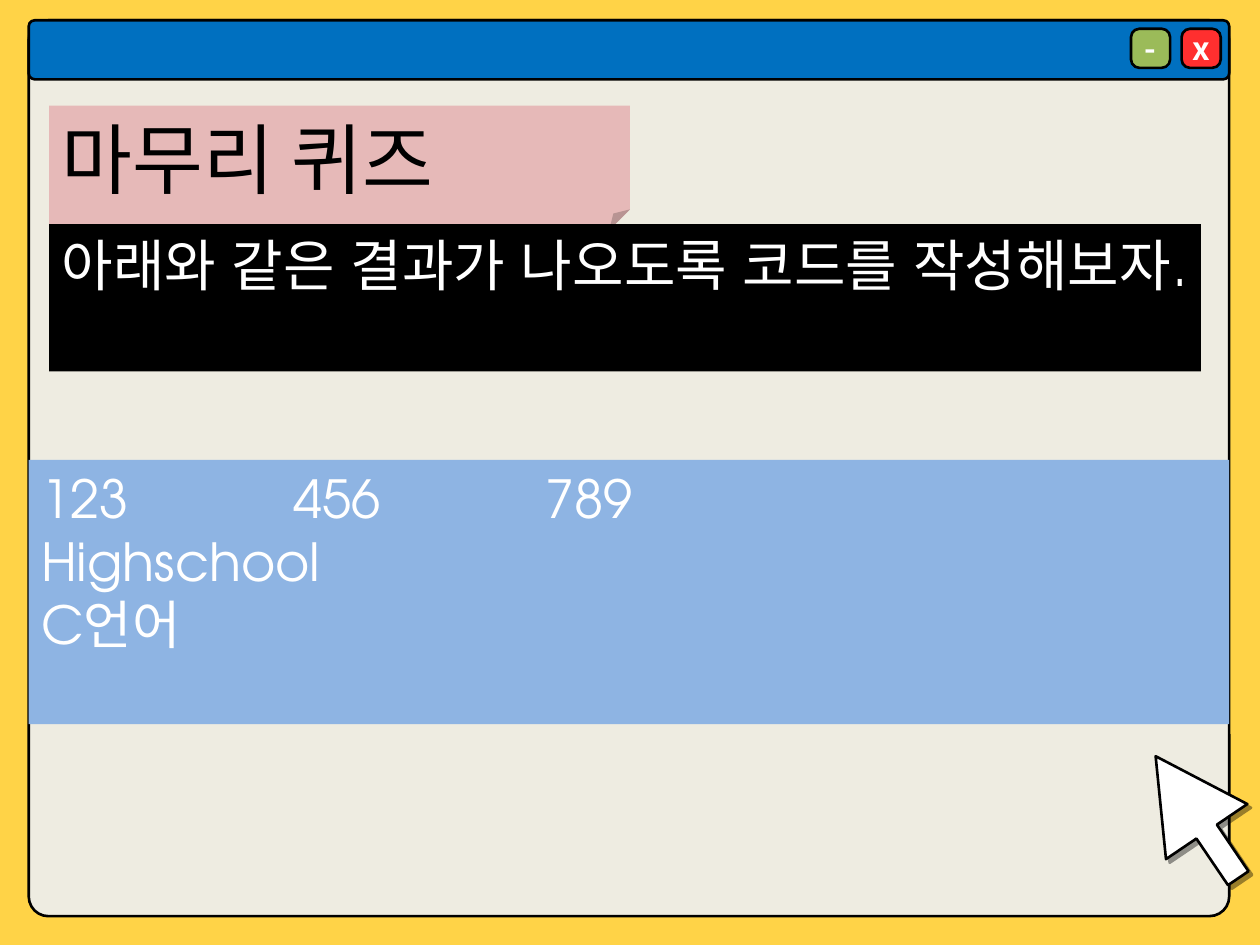
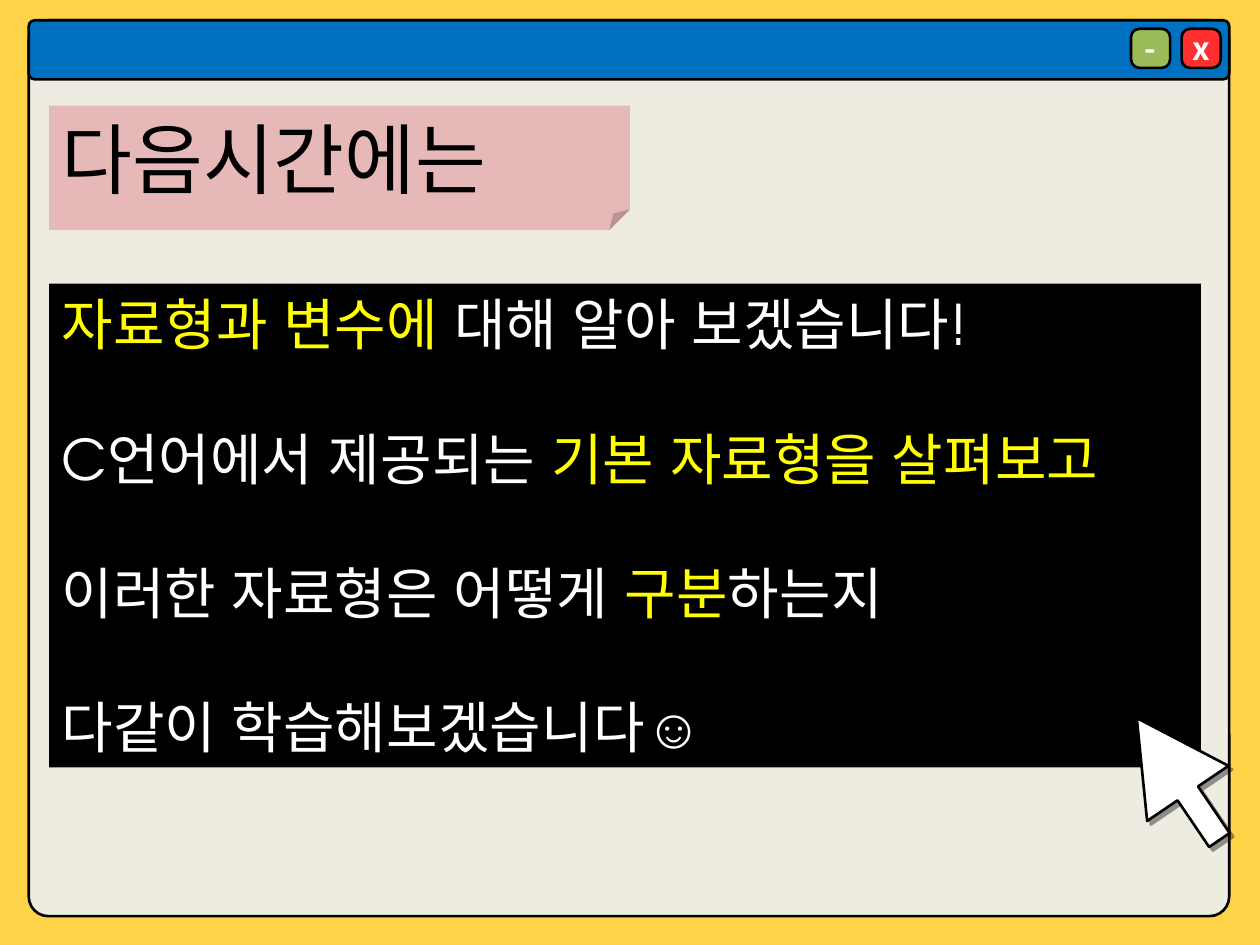
"""Build two lesson slides styled as a desktop window."""
from lxml import etree
from pptx import Presentation
from pptx.dml.color import RGBColor
from pptx.enum.shapes import MSO_SHAPE as Shape
from pptx.enum.text import MSO_ANCHOR as Anchor, PP_ALIGN as Align
from pptx.oxml.ns import qn
from pptx.util import Cm, Pt

COLORS = {
    "desktop": "FFD347", "window": "EEECE1", "bar": "0070C0",
    "close": "FF2F2F", "minimize": "9BBB59", "note": "E6B9B8",
    "output": "8EB4E3", "black": "000000", "white": "FFFFFF",
    "highlight": "FFFF00",
}
TITLE_FONT = "Noto Sans CJK KR"
BODY_FONT = "TeX Gyre Adventor"
SYMBOL_FONT = "Arial"

WINDOW = (0.58, 0.41, 24.2, 18.06)
TITLE = (0.99, 2.13, 11.71, 2.51)
TASK = (0.99, 4.52, 23.22, 2.97)
OUTPUT = (0.58, 9.27, 24.2, 5.33)
PREVIEW = (0.99, 5.72, 23.22, 9.75)
BAR_HEIGHT = 1.19
BUTTON_SIZE = 0.79
BUTTON_STEP = 1.02
BUTTON_MARGIN = 0.17
CURSOR_SIZE = (1.98, 2.97)


def rgb(name):
    """Return the palette colour with this name."""
    return RGBColor.from_string(COLORS[name])


def add_panel(slide, kind, box, fill, adjust=None, outlined=False):
    """Add a flat preset shape in a box given in centimetres."""
    panel = slide.shapes.add_shape(kind, *map(Cm, box))
    panel.shadow.inherit = False
    panel.fill.solid()
    panel.fill.fore_color.rgb = rgb(fill)
    if outlined:
        panel.line.color.rgb = rgb("black")
        panel.line.width = Pt(1.5)
    else:
        panel.line.fill.background()
    if adjust:
        geometry = panel._element.spPr.find(qn("a:prstGeom"))
        for guides in geometry.findall(qn("a:avLst")):
            geometry.remove(guides)
        guides = etree.SubElement(geometry, qn("a:avLst"))
        for name, value in adjust.items():
            etree.SubElement(guides, qn("a:gd"), name=name, fmla=f"val {value}")
    return panel


def style_run(run, size, color, font=BODY_FONT, bold=False):
    """Format a run, with one typeface for Latin and Korean."""
    run.font.size = Pt(size)
    run.font.bold = bold
    run.font.color.rgb = rgb(color)
    run.font.name = font
    for script in ("a:ea", "a:cs"):
        etree.SubElement(run.font._element, qn(script), typeface=font)


def write_lines(panel, lines, size, font=BODY_FONT, gap=0, tab_stops=()):
    """Write lines of (text, colour[, font]) pieces from the top left."""
    frame = panel.text_frame
    frame.word_wrap = True
    frame.vertical_anchor = Anchor.TOP
    for index, pieces in enumerate(lines):
        paragraph = frame.add_paragraph() if index else frame.paragraphs[0]
        paragraph.alignment = Align.LEFT
        if index and gap:
            paragraph.space_before = Pt(gap)
        if tab_stops:
            tabs = etree.SubElement(paragraph._p.get_or_add_pPr(), qn("a:tabLst"))
            for stop in tab_stops:
                etree.SubElement(tabs, qn("a:tab"), pos=str(Cm(stop)), algn="l")
        for text, color, *other_font in pieces:
            run = paragraph.add_run()
            run.text = text
            style_run(run, size, color, *(other_font or [font]))


def add_button(slide, box, label, fill):
    """Add a title bar button with a centred sign."""
    button = add_panel(slide, Shape.ROUNDED_RECTANGLE, box, fill,
                       {"adj": 21800}, True)
    frame = button.text_frame
    frame.margin_left = frame.margin_right = 0
    frame.word_wrap = True
    frame.vertical_anchor = Anchor.MIDDLE
    frame.text = label
    frame.paragraphs[0].alignment = Align.CENTER
    style_run(frame.paragraphs[0].runs[0], 18, "white", TITLE_FONT, True)


def add_window(slide, box):
    """Add the window, its bar and its buttons on the desktop colour."""
    left, top, width, height = box
    slide.background.fill.solid()
    slide.background.fill.fore_color.rgb = rgb("desktop")
    add_panel(slide, Shape.ROUNDED_RECTANGLE, box, "window", {"adj": 2200}, True)
    add_panel(slide, Shape.ROUNDED_RECTANGLE, (left, top, width, BAR_HEIGHT),
              "bar", {"adj": 10000}, True)
    close_left = left + width - BUTTON_MARGIN - BUTTON_SIZE
    for index, (label, fill) in enumerate([("x", "close"), ("-", "minimize")]):
        add_button(slide, (close_left - index * BUTTON_STEP, top + BUTTON_MARGIN,
                           BUTTON_SIZE, BUTTON_SIZE), label, fill)


def add_title(slide, box, title):
    """Add the slide title on a folded note."""
    note = add_panel(slide, Shape.FOLDED_CORNER, box, "note")
    write_lines(note, [[(title, "black")]], 44, TITLE_FONT)


def add_cursor(slide, left, top):
    """Add the tilted mouse pointer with its hard shadow."""
    cursor = add_panel(slide, Shape.UP_ARROW, (left, top, *CURSOR_SIZE),
                       "white", {"adj1": 25200, "adj2": 92700}, True)
    cursor.rotation = 325.9
    effects = cursor._element.spPr.find(qn("a:effectLst"))
    shadow = etree.SubElement(effects, qn("a:outerShdw"), blurRad="0",
                              dist=str(Pt(3)), dir="2700000", algn="tl",
                              rotWithShape="0")
    tint = etree.SubElement(shadow, qn("a:srgbClr"), val=COLORS["black"])
    etree.SubElement(tint, qn("a:alpha"), val="40000")


def build_quiz(slide):
    """Build the closing quiz with the output to reproduce."""
    add_window(slide, WINDOW)
    add_cursor(slide, 23.14, 14.99)
    add_title(slide, TITLE, "마무리 퀴즈")
    task = add_panel(slide, Shape.RECTANGLE, TASK, "black")
    write_lines(task, [[("아래와 같은 결과가 나오도록 코드를 작성해보자.", "white")]], 32)
    output = add_panel(slide, Shape.RECTANGLE, OUTPUT, "output")
    results = ["123\t456\t789", "Highschool", "C언어"]
    write_lines(output, [[(result, "white")] for result in results], 30,
                tab_stops=(5.08, 10.16))


def build_preview(slide):
    """Build the preview of the next lesson."""
    add_window(slide, WINDOW)
    add_title(slide, TITLE, "다음시간에는")
    preview = add_panel(slide, Shape.RECTANGLE, PREVIEW, "black")
    write_lines(preview, [
        [("자료형과 변수에 ", "highlight"), ("대해 알아 보겠습니다!", "white")],
        [("C언어에서 제공되는 ", "white"), ("기본 자료형을 살펴보고", "highlight")],
        [("이러한 자료형은 어떻게 ", "white"), ("구분", "highlight"),
         ("하는지", "white")],
        [("다같이 학습해보겠습니다", "white"), ("☺", "white", SYMBOL_FONT)],
    ], 32, gap=38.3)
    add_cursor(slide, 22.76, 14.22)


def main():
    """Build and save the presentation."""
    deck = Presentation()
    deck.slide_width, deck.slide_height = Cm(25.4), Cm(19.05)
    for build in (build_quiz, build_preview):
        build(deck.slides.add_slide(deck.slide_layouts[6]))
    deck.save("out.pptx")


if __name__ == "__main__":
    main()
